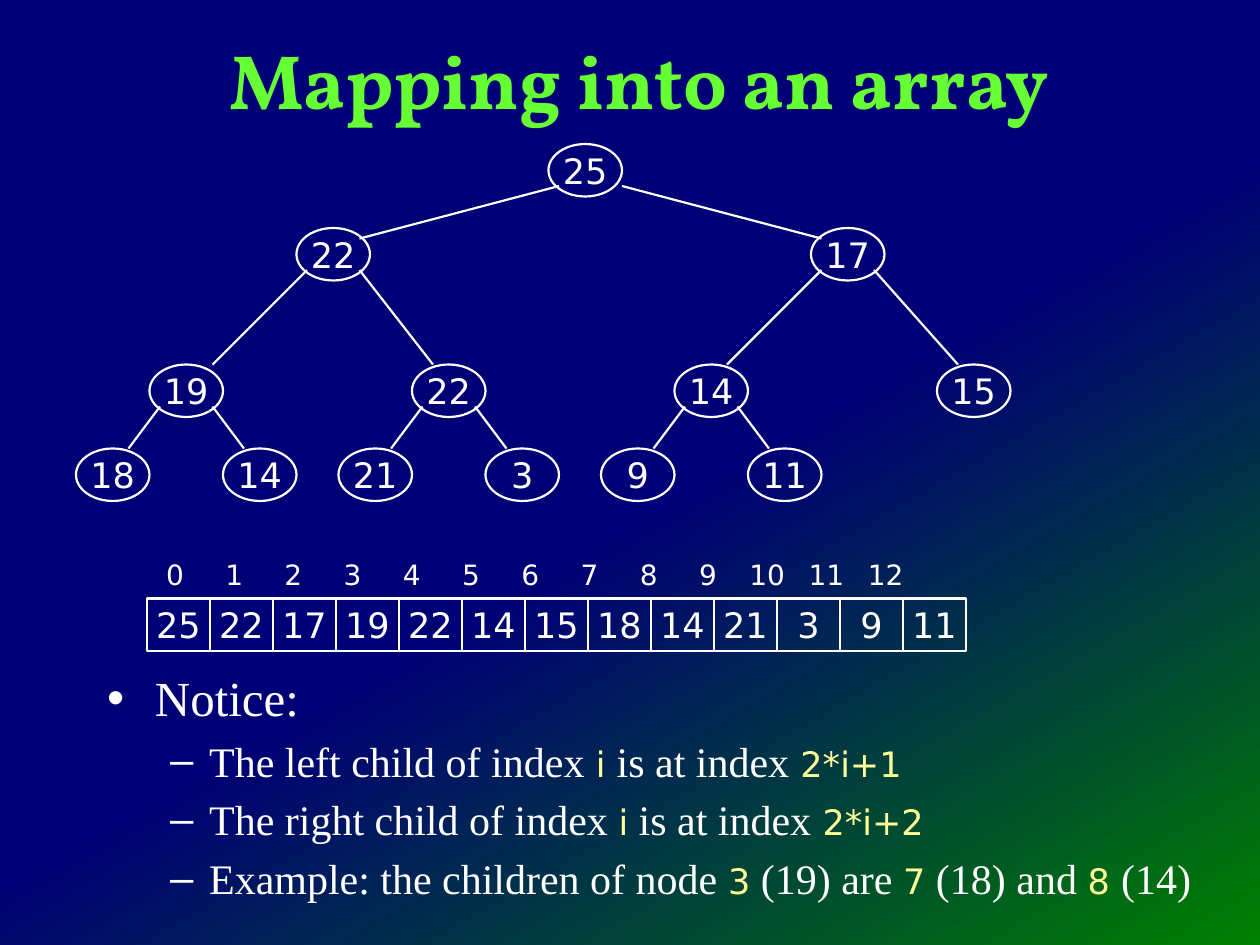
"""Build a slide that maps a binary heap into an array."""
import copy
from dataclasses import dataclass

import pptx
import pptx.dml.color
import pptx.enum.shapes
import pptx.enum.text
import pptx.util
from lxml import etree
from pptx.oxml.ns import qn

UNIT = 1 / 12
TREE_X, TREE_Y = 0.02, 0.06
NODE_W, NODE_H, CELL_W = 7, 5, 6
ARRAY_COL, ARRAY_ROW = 14, 57
WHITE, YELLOW, GREEN, NAVY = "FFFFFF", "FFFF99", "66FF33", "000076"
SANS, SERIF = "DejaVu Sans", "Times New Roman"
OVAL = pptx.enum.shapes.MSO_SHAPE.OVAL
RECTANGLE = pptx.enum.shapes.MSO_SHAPE.RECTANGLE
CENTER = pptx.enum.text.PP_ALIGN.CENTER
MIDDLE = pptx.enum.text.MSO_ANCHOR.MIDDLE


@dataclass
class Node:
    """A heap node in grid units, with its edge's offsets from parent and node."""
    value: int
    col: float
    row: float
    start: float = 0
    end: float = 0
    drop: float = 0

    @property
    def left(self) -> float:
        """Return the left side in inches."""
        return TREE_X + self.col * UNIT

    @property
    def top(self) -> float:
        """Return the top side in inches."""
        return TREE_Y + self.row * UNIT


@dataclass
class Line:
    """A list line whose text alternates between prose and code."""
    level: int
    texts: tuple[str, ...]


HEAP = [
    Node(25, 52, 13),
    Node(22, 28, 21, 1, 6, 1), Node(17, 77, 21, 7, 1, 1),
    Node(19, 14, 34, 1, 6), Node(22, 39, 34, 6, 2),
    Node(14, 64, 34, 1, 5), Node(15, 89, 34, 6, 2),
    Node(18, 7, 42, 1, 5), Node(14, 21, 42, 6, 2),
    Node(21, 32, 42, 1, 5), Node(3, 46, 42, 6, 2),
    Node(9, 57, 42, 1, 5), Node(11, 71, 42, 6, 2),
]
NOTES = [
    Line(0, ("Notice:",)),
    Line(1, ("The left child of index", " i ", "is at index", " 2*i+1")),
    Line(1, ("The right child of index ", "i", " is at index", " 2*i+2")),
    Line(1, ("Example: the children of node ", "3", " (19) are ", "7",
             " (18) and ", "8 ", "(14)")),
]


def rgb(color: str) -> pptx.dml.color.RGBColor:
    """Turn a hex string into a colour."""
    return pptx.dml.color.RGBColor.from_string(color)


def set_font(font, name: str, size: float, color: str) -> None:
    """Set the face, size and colour of a font."""
    font.name, font.size = name, pptx.util.Pt(size)
    font.color.rgb = rgb(color)


def move(sp, *box: float) -> None:
    """Place a shape at left, top, width and height in inches."""
    sp.left, sp.top, sp.width, sp.height = map(pptx.util.Inches, box)


def set_line(sp) -> None:
    """Give a shape the common white outline."""
    sp.line.color.rgb = rgb(WHITE)
    sp.line.width = pptx.util.Pt(1.25)


def add_value(s, shape, value: int, *box: float) -> None:
    """Draw one outlined shape holding a value."""
    sp = s.shapes.add_shape(shape, *map(pptx.util.Inches, box))
    sp.shadow.inherit = False
    sp.fill.background()
    set_line(sp)
    tf = sp.text_frame
    tf.word_wrap, tf.vertical_anchor = False, MIDDLE
    p = tf.paragraphs[0]
    p.text, p.alignment = str(value), CENTER
    set_font(p.font, SANS, 20, WHITE)


def add_edge(s, parent: Node, child: Node) -> None:
    """Join a node to its parent."""
    ends = (parent.left + child.start * UNIT, parent.top + 4 * UNIT,
            child.left + child.end * UNIT, child.top + child.drop * UNIT)
    sp = s.shapes.add_connector(pptx.enum.shapes.MSO_CONNECTOR.STRAIGHT,
                                *map(pptx.util.Inches, ends))
    set_line(sp)
    etree.SubElement(sp.element.spPr, qn("a:effectLst"))


def add_indices(s) -> None:
    """Write the array indices on evenly spaced centred tab stops."""
    sp = s.shapes.add_textbox(*map(pptx.util.Inches, (1.08, 4.38, 6.92, 0.37)))
    sp.text_frame.word_wrap = True
    p = sp.text_frame.paragraphs[0]
    p.text = "".join(f"\t{i}" for i in range(len(HEAP)))
    set_font(p.font, SANS, 16, WHITE)
    tabs = etree.Element(qn("a:tabLst"))
    for i in range(len(HEAP)):
        pos = pptx.util.Inches(0.21 + 0.47 * i)
        etree.SubElement(tabs, qn("a:tab"), pos=str(int(pos)), algn="ctr")
    p._p.get_or_add_pPr().insert(0, tabs)


def fill_background(s) -> None:
    """Fade the background from navy to green."""
    fill = s.background.fill
    fill.gradient()
    fill.gradient_angle = 300
    stops = s.element.xpath(".//a:gsLst")[0]
    stops.insert(1, copy.deepcopy(stops[0]))
    for stop, (pos, color) in zip(fill.gradient_stops,
                                  ((0, NAVY), (0.53, NAVY), (1, "008000"))):
        stop.position, stop.color.rgb = pos, rgb(color)


def fill_title(sp) -> None:
    """Write the title."""
    move(sp, 0.41, 0.21, 9.33, 0.83)
    tf = sp.text_frame
    tf.auto_size = pptx.enum.text.MSO_AUTO_SIZE.NONE
    tf.vertical_anchor = MIDDLE
    p = tf.paragraphs[0]
    p.text, p.alignment = "Mapping into an array", CENTER
    set_font(p.font, "Vollkorn", 44, GREEN)
    p.font.bold = True


def fill_notes(sp) -> None:
    """Write the bulleted list with code in its own face."""
    move(sp, 0.75, 5.25, 9, 2.08)
    tf = sp.text_frame
    tf.auto_size = pptx.enum.text.MSO_AUTO_SIZE.NONE
    for i, line in enumerate(NOTES):
        p = tf.add_paragraph() if i else tf.paragraphs[0]
        p.level = line.level
        margin, indent, size = ((0.38, -0.38, 28), (0.81, -0.31, 24))[line.level]
        pPr = p._p.get_or_add_pPr()
        pPr.set("marL", str(int(pptx.util.Inches(margin))))
        pPr.set("indent", str(int(pptx.util.Inches(indent))))
        for j, text in enumerate(line.texts):
            r = p.add_run()
            r.text = text
            set_font(r.font, *((SANS, 20, YELLOW) if j % 2 else (SERIF, size, WHITE)))


def main() -> None:
    """Build and save the slide."""
    prs = pptx.Presentation()
    prs.slide_width, prs.slide_height = pptx.util.Inches(10), pptx.util.Inches(7.5)
    s = prs.slides.add_slide(prs.slide_layouts[1])
    fill_background(s)
    fill_title(s.shapes.title)
    fill_notes(s.placeholders[1])
    for i, node in enumerate(HEAP):
        add_value(s, OVAL, node.value, node.left, node.top, NODE_W * UNIT, NODE_H * UNIT)
        if i:
            add_edge(s, HEAP[(i - 1) // 2], node)
        add_value(s, RECTANGLE, node.value, (ARRAY_COL + i * CELL_W) * UNIT,
                  ARRAY_ROW * UNIT, CELL_W * UNIT, NODE_H * UNIT)
    add_indices(s)
    prs.save("out.pptx")


if __name__ == "__main__":
    main()
